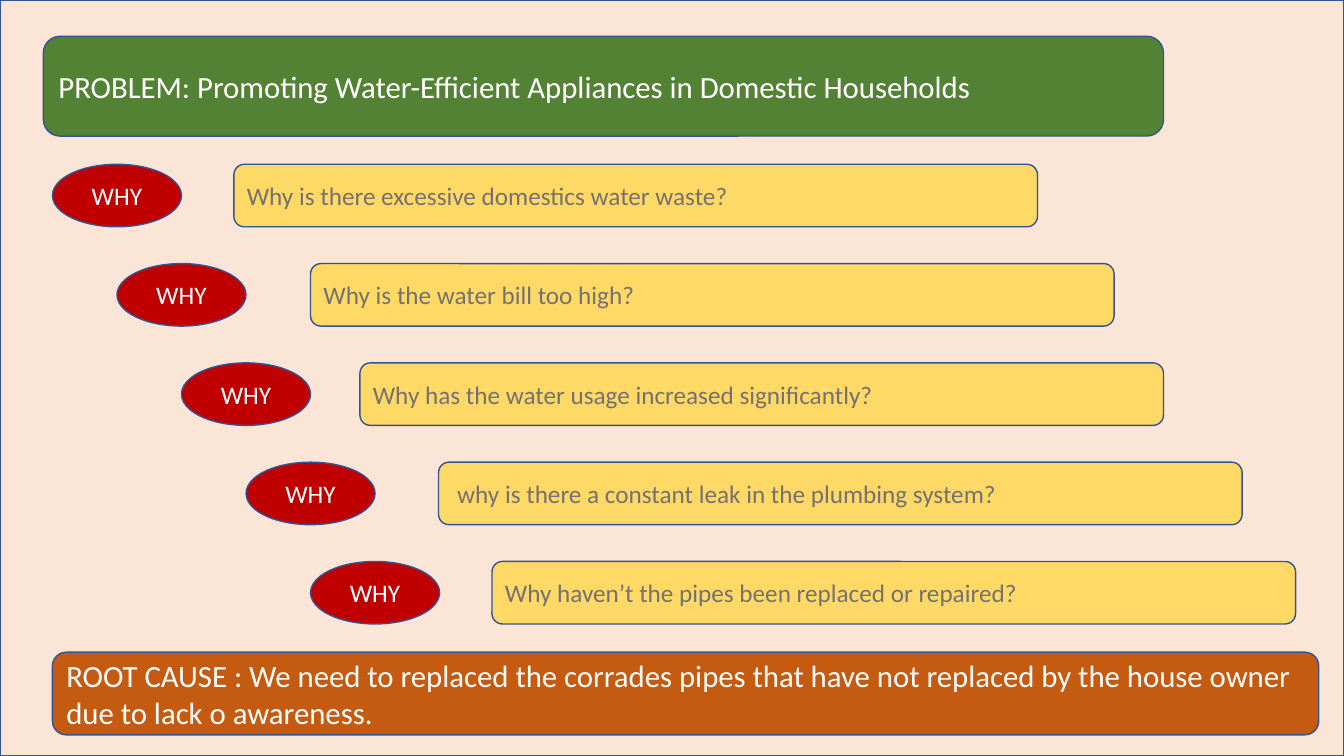
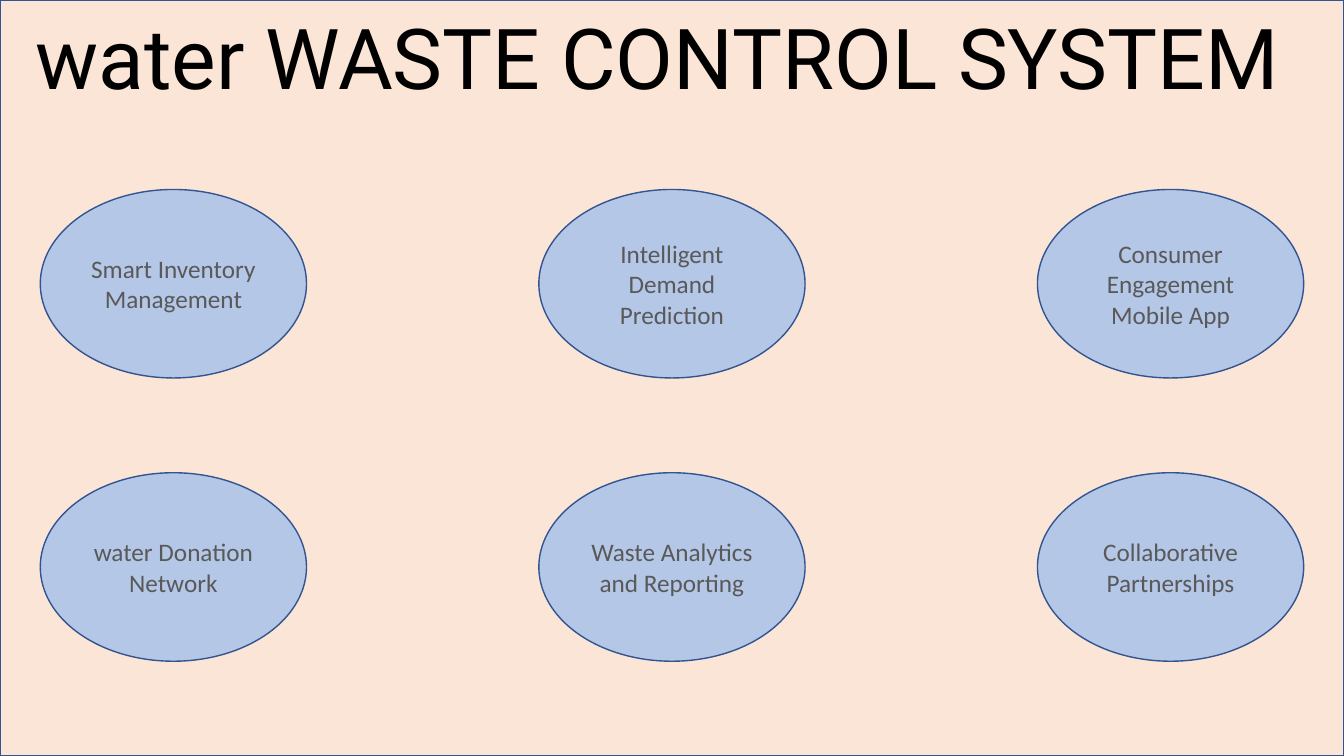
import pptx
import pptx.util
import pptx.dml.color
import pptx.enum.shapes
import pptx.enum.text

Inches = pptx.util.Inches
Pt = pptx.util.Pt
RGBColor = pptx.dml.color.RGBColor
SHAPE = pptx.enum.shapes.MSO_SHAPE
ALIGN = pptx.enum.text.PP_ALIGN
ANCHOR = pptx.enum.text.MSO_ANCHOR

# Shared colours
PEACH = RGBColor(0xFB, 0xE5, 0xD6)
OUTLINE = RGBColor(0x32, 0x54, 0x91)
RED = RGBColor(0xC0, 0x00, 0x00)
YELLOW = RGBColor(0xFF, 0xD9, 0x66)
ORANGE = RGBColor(0xC5, 0x5A, 0x11)
GREEN = RGBColor(0x54, 0x82, 0x35)
LIGHT_BLUE = RGBColor(0xB4, 0xC7, 0xE7)
WHITE = RGBColor(0xFF, 0xFF, 0xFF)
BLACK = RGBColor(0x00, 0x00, 0x00)
GREY = RGBColor(0x76, 0x71, 0x71)
DARK_GREY = RGBColor(0x59, 0x59, 0x59)

SLIDE_WIDTH, SLIDE_HEIGHT = 13.33, 7.5


def write_text(shape, text, color, size=18, font="Calibri", align=ALIGN.LEFT, anchor=ANCHOR.MIDDLE):
    frame = shape.text_frame
    frame.text = text
    frame.word_wrap = True
    frame.auto_size = pptx.enum.text.MSO_AUTO_SIZE.NONE
    frame.vertical_anchor = anchor
    paragraph = frame.paragraphs[0]
    paragraph.alignment = align
    paragraph.font.name = font
    paragraph.font.size = Pt(size)
    paragraph.font.color.rgb = color


def add_panel(slide, kind, left, top, width, height, fill):
    shape = slide.shapes.add_shape(kind, Inches(left), Inches(top), Inches(width), Inches(height))
    shape.shadow.inherit = False
    shape.fill.solid()
    shape.fill.fore_color.rgb = fill
    shape.line.color.rgb = OUTLINE
    shape.line.width = Pt(1)
    return shape


presentation = pptx.Presentation()
presentation.slide_width = Inches(SLIDE_WIDTH)
presentation.slide_height = Inches(SLIDE_HEIGHT)

# Both slides: title over a peach backdrop
titles = [
    ("PROBLEM: Promoting Water-Efficient Appliances in Domestic Households",
     (0.48, 0.36, 11.01, 0.99), WHITE, 22, "Calibri", ANCHOR.MIDDLE),
    ("water WASTE CONTROL SYSTEM", (0.25, 0, 13.08, 1.11), BLACK, 60, "Roboto", ANCHOR.TOP),
]
for text, box, color, size, font, anchor in titles:
    slide = presentation.slides.add_slide(presentation.slide_layouts[5])
    title = slide.shapes.title
    title.left, title.top, title.width, title.height = [Inches(length) for length in box]
    write_text(title, text, color, size, font, anchor=anchor)
    backdrop = add_panel(slide, SHAPE.RECTANGLE, 0, 0, SLIDE_WIDTH, SLIDE_HEIGHT, PEACH)
    title.element.addprevious(backdrop.element)

why_slide, system_slide = presentation.slides

# Slide 1: green band behind the title
title_band = add_panel(why_slide, SHAPE.ROUNDED_RECTANGLE, 0.43, 0.36, 11.11, 0.99, GREEN)
why_slide.shapes.title.element.addprevious(title_band.element)

# Slide 1: staircase of five whys
questions = [
    (2.32, "Why is there excessive domestics water waste?"),
    (3.08, "Why is the water bill too high?"),
    (3.57, "Why has the water usage increased significantly?"),
    (4.35, " why is there a constant leak in the plumbing system?"),
    (4.88, "Why haven’t the pipes been replaced or repaired?"),
]
first_top, last_top = 1.63, 5.57
row_step = (last_top - first_top) / (len(questions) - 1)
for row, (question_left, question) in enumerate(questions):
    top = first_top + row * row_step
    why = add_panel(why_slide, SHAPE.OVAL, 0.52 + row * 0.64, top, 1.28, 0.62, RED)
    write_text(why, "WHY", WHITE, align=ALIGN.CENTER)
    bar = add_panel(why_slide, SHAPE.ROUNDED_RECTANGLE, question_left, top, 7.97, 0.62, YELLOW)
    write_text(bar, question, GREY)

# Slide 1: root cause
root_cause = add_panel(why_slide, SHAPE.ROUNDED_RECTANGLE, 0.52, 6.47, 12.56, 0.82, ORANGE)
write_text(root_cause,
           "ROOT CAUSE : We need to replaced the corrades pipes that have not replaced "
           "by the house owner due to lack o awareness.", WHITE, 22)

# Slide 2: grid of system parts, three to a row
parts = [
    "Smart Inventory Management", "Intelligent Demand Prediction", "Consumer Engagement Mobile App",
    "water Donation Network", "Waste Analytics and Reporting", "Collaborative Partnerships",
]
margin, oval_width, oval_height = 0.4, 2.64, 1.87
column_step = (SLIDE_WIDTH - 2 * margin - oval_width) / 2
for index, part in enumerate(parts):
    row, column = divmod(index, 3)
    oval = add_panel(system_slide, SHAPE.OVAL, margin + column * column_step,
                     1.88 + row * 2.81, oval_width, oval_height, LIGHT_BLUE)
    write_text(oval, part, DARK_GREY, align=ALIGN.CENTER)

presentation.save("out.pptx")
